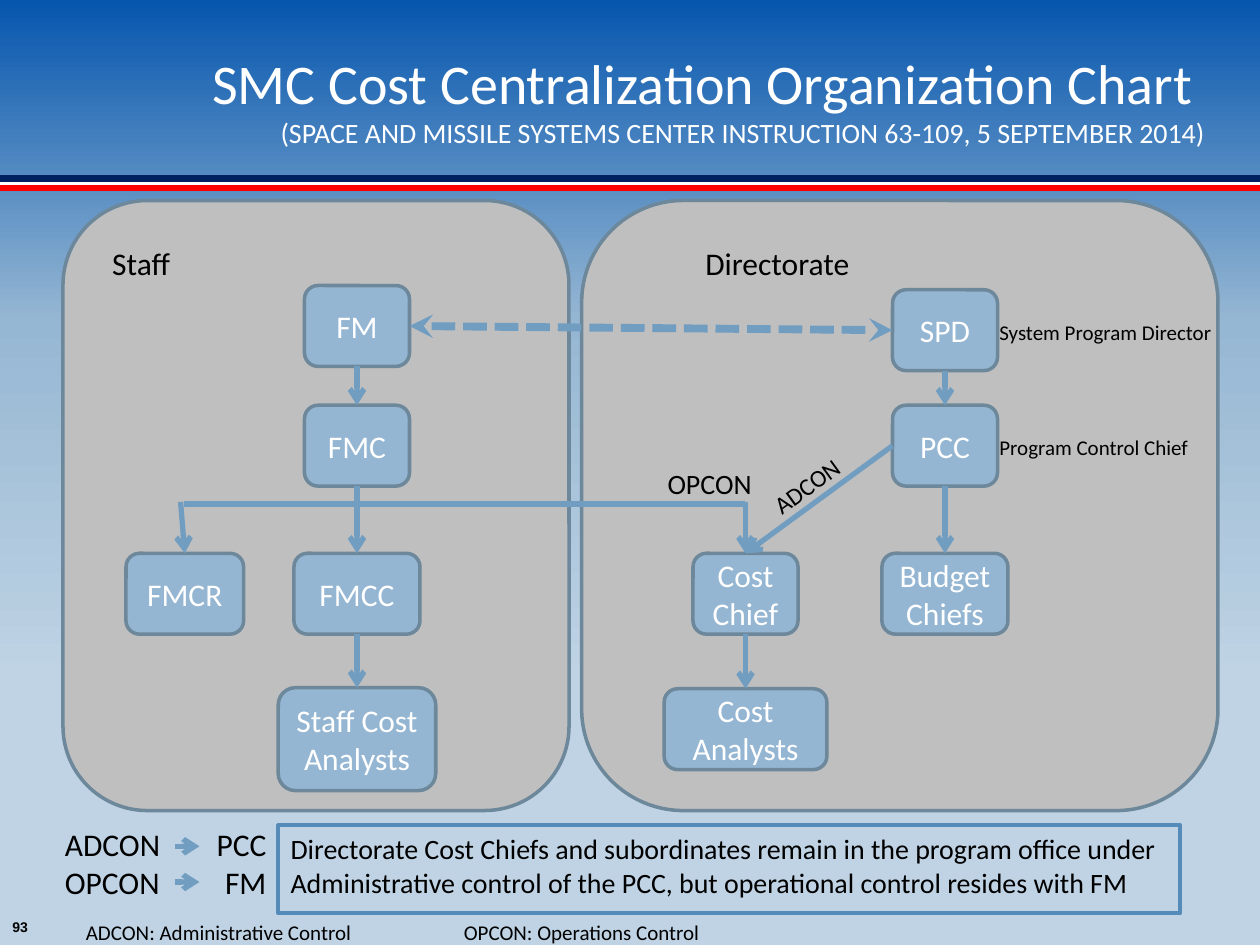
from dataclasses import dataclass

from lxml.etree import SubElement
from pptx import Presentation
from pptx.dml.color import RGBColor
from pptx.enum.dml import MSO_LINE
from pptx.enum.shapes import MSO_CONNECTOR, MSO_SHAPE
from pptx.enum.text import MSO_ANCHOR, MSO_AUTO_SIZE, PP_ALIGN
from pptx.oxml.ns import qn
from pptx.util import Inches, Pt

WHITE = RGBColor(0xFF, 0xFF, 0xFF)
BLACK = RGBColor(0, 0, 0)
NAVY = RGBColor(0x00, 0x20, 0x60)
RED = RGBColor(0xFF, 0, 0)
PANEL_GREY = RGBColor(0xBF, 0xBF, 0xBF)
EDGE = RGBColor(0x6D, 0x87, 0x9B)
NODE_BLUE = RGBColor(0x94, 0xB6, 0xD2)
LINK_BLUE = RGBColor(0x71, 0x9D, 0xC1)
SKY_TOP = RGBColor(0x06, 0x56, 0xAE)
SKY_MIDDLE = RGBColor(0x96, 0xB7, 0xD3)
PALE_BLUE = RGBColor(0xBF, 0xD3, 0xE4)
NOTE_EDGE = RGBColor(0x55, 0x8B, 0xB8)

SLIDE_W, SLIDE_H = Inches(10), Inches(7.5)
UNIT = SLIDE_W // 120  # the slide is a grid of 120 columns by 90 rows
TOP, LEFT, BOTTOM, RIGHT = range(4)  # connection sites of a box


@dataclass
class Box:
    """Area in grid columns and rows."""
    x: float
    y: float
    w: float
    h: float

    def inner(self, x, y, w, h):
        return Box(self.x + x, self.y + y, w, h)

    def emu(self):
        return [round(v * UNIT) for v in (self.x, self.y, self.w, self.h)]


def write(frame, *lines, size=18, color=BLACK, align=PP_ALIGN.LEFT, bold=False,
          font="Calibri", anchor=MSO_ANCHOR.TOP, wrap=False, tab=None):
    """Fill a text frame with one paragraph a line; tab is (columns, alignment)."""
    frame.word_wrap = wrap
    frame.auto_size = MSO_AUTO_SIZE.NONE
    frame.vertical_anchor = anchor
    for i, line in enumerate(lines):
        paragraph = frame.paragraphs[0] if i == 0 else frame.add_paragraph()
        paragraph.text = line
        paragraph.alignment = align
        if tab:
            stops = SubElement(paragraph._p.get_or_add_pPr(), qn("a:tabLst"))
            SubElement(stops, qn("a:tab"), pos=str(round(tab[0] * UNIT)), algn=tab[1])
        for run in paragraph.runs:
            run.font.name = font
            run.font.size = Pt(size)
            run.font.bold = bold
            run.font.color.rgb = color


def label(slide, box, *lines, turn=0, **style):
    caption = slide.shapes.add_textbox(*box.emu())
    caption.rotation = turn
    write(caption.text_frame, *lines, **style)


def block(slide, box, kind, fill, edge, width):
    shape = slide.shapes.add_shape(kind, *box.emu())
    shape.shadow.inherit = False
    shape.fill.solid()
    shape.fill.fore_color.rgb = fill
    shape.line.color.rgb = edge
    shape.line.width = Pt(width)
    return shape


def node(slide, panel, text, center, top, w=10, h=7.7):
    shape = block(slide, panel.inner(center - w / 2, top, w, h),
                  MSO_SHAPE.ROUNDED_RECTANGLE, NODE_BLUE, EDGE, 2)
    write(shape.text_frame, text, color=WHITE, align=PP_ALIGN.CENTER,
          anchor=MSO_ANCHOR.MIDDLE, wrap=True)
    return shape


def link(slide, start, end, sites=(BOTTOM, TOP), color=LINK_BLUE, width=3,
         head=None, tail="arrow", dash=None):
    """Draw a line between two ends, each a node or a (column, row) point."""
    points = [[round(v * UNIT) for v in p] if isinstance(p, tuple) else [0, 0]
              for p in (start, end)]
    line = slide.shapes.add_connector(MSO_CONNECTOR.STRAIGHT, *points[0], *points[1])
    if not isinstance(start, tuple):
        line.begin_connect(start, sites[0])
    if not isinstance(end, tuple):
        line.end_connect(end, sites[1])
    line.line.color.rgb = color
    line.line.width = Pt(width)
    if dash:
        line.line.dash_style = dash
    for tag, arrow in (("a:headEnd", head), ("a:tailEnd", tail)):
        if arrow:
            SubElement(line.line._get_or_add_ln(), qn(tag), type=arrow)
    SubElement(line._element.spPr, qn("a:effectLst"))


def background(slide):
    fill = slide.background.fill
    fill.gradient()
    fill.gradient_angle = 270
    stops = fill._fill._gradFill.find(qn("a:gsLst"))
    for stop in list(stops):
        stops.remove(stop)
    for share, color in ((0, SKY_TOP), (34, SKY_MIDDLE), (72, PALE_BLUE), (100, PALE_BLUE)):
        stop = SubElement(stops, qn("a:gs"), pos=str(share * 1000))
        SubElement(stop, qn("a:srgbClr"), val=str(color))


def header(slide, box):
    for row, color, width in ((17, NAVY, 3.5), (17.5, WHITE, 2.5), (17.9, RED, 3.5)):
        link(slide, (box.x, box.y + row), (box.x + box.w, box.y + row),
             color=color, width=width, tail=None)
    title = slide.shapes.title
    title.left, title.top, title.width, title.height = box.inner(19, 4, 97, 10.9).emu()
    write(title.text_frame, "SMC Cost Centralization Organization Chart",
          "(SPACE AND MISSILE SYSTEMS CENTER INSTRUCTION 63-109, 5 SEPTEMBER 2014)",
          size=32, color=WHITE, wrap=True)
    reference = title.text_frame.paragraphs[1]
    reference.alignment = PP_ALIGN.RIGHT
    reference.runs[0].font.size = Pt(16)


def panel_frame(slide, box):
    block(slide, box, MSO_SHAPE.ROUNDED_RECTANGLE, PANEL_GREY, EDGE, 2)


def staff(slide, box):
    panel_frame(slide, box)
    label(slide, box.inner(3.5, 3.5, 8, 5.2), "Staff")
    fm = node(slide, box, "FM", 28, 8.1)
    fmc = node(slide, box, "FMC", 28, 19.5)
    fmcr = node(slide, box, "FMCR", 11.6, 33.6, w=11.2)
    fmcc = node(slide, box, "FMCC", 28, 33.6, w=12)
    analysts = node(slide, box, "Staff Cost Analysts", 28, 46.4, w=15, h=9.8)
    for upper, lower in ((fm, fmc), (fmc, fmcc), (fmcc, analysts)):
        link(slide, upper, lower)
    link(slide, (box.x + 11.2, box.y + 28.7), fmcr)
    return fm


def directorate(slide, box):
    panel_frame(slide, box)
    label(slide, box.inner(10.6, 3.5, 16.3, 5.2), "Directorate")
    spd = node(slide, box, "SPD", 34.6, 8.5)
    pcc = node(slide, box, "PCC", 34.6, 19.5)
    chief = node(slide, box, "Cost Chief", 15.6, 33.6)
    budget = node(slide, box, "Budget Chiefs", 34.6, 33.6, w=12)
    analysts = node(slide, box, "Cost Analysts", 15.6, 46.5, w=15.5)
    for upper, lower in ((spd, pcc), (pcc, budget), (chief, analysts)):
        link(slide, upper, lower)
    link(slide, (box.x + 15.6, box.y + 28.7), chief)
    link(slide, pcc, chief, sites=(LEFT, TOP))
    label(slide, box.inner(16.8, 25.1, 9.6, 4.4), "ADCON", size=14, turn=324.1)
    label(slide, box.inner(7, 24.7, 10.6, 4.9), "OPCON", size=16)
    label(slide, box.inner(38.6, 10.7, 22.8, 4), "System Program Director", size=12)
    label(slide, box.inner(38.6, 21.7, 20.5, 4), "Program Control Chief", size=12)
    return spd


def footer(slide, box):
    label(slide, box.inner(0, 0, 22, 9.4), "ADCON\tPCC", "OPCON\tFM",
          tab=(19.2, "r"), wrap=True)
    for row in (2.6, 6):
        link(slide, (box.x + 11.7, box.y + row), (box.x + 14, box.y + row))
    note = block(slide, box.inner(21.5, 0.6, 85.9, 8.4), MSO_SHAPE.RECTANGLE,
                 PALE_BLUE, NOTE_EDGE, 2.25)
    write(note.text_frame,
          "Directorate Cost Chiefs and subordinates remain in the program office under",
          "Administrative control of the PCC, but operational control resides with FM", size=16)
    label(slide, box.inner(2, 9, 61, 3.6),
          "ADCON: Administrative Control\tOPCON: Operations Control",
          size=12, tab=(36, "l"), wrap=True)
    label(slide, box.inner(-5, 8.9, 5, 3.4), "93", size=8, bold=True, font="Arial")


def main():
    deck = Presentation()
    deck.slide_width, deck.slide_height = SLIDE_W, SLIDE_H
    slide = deck.slides.add_slide(deck.slide_layouts[5])
    background(slide)
    header(slide, Box(0, 0, 120, 18))
    fm = staff(slide, Box(6, 19.1, 48.2, 58.1))
    spd = directorate(slide, Box(55.4, 19.1, 60.6, 58.1))
    link(slide, fm, spd, sites=(RIGHT, LEFT), width=4.5, head="stealth",
         tail="stealth", dash=MSO_LINE.SQUARE_DOT)
    link(slide, (17.5, 48), (71, 48), tail=None)
    footer(slide, Box(5, 78, 110, 12))
    deck.save("out.pptx")


if __name__ == "__main__":
    main()
